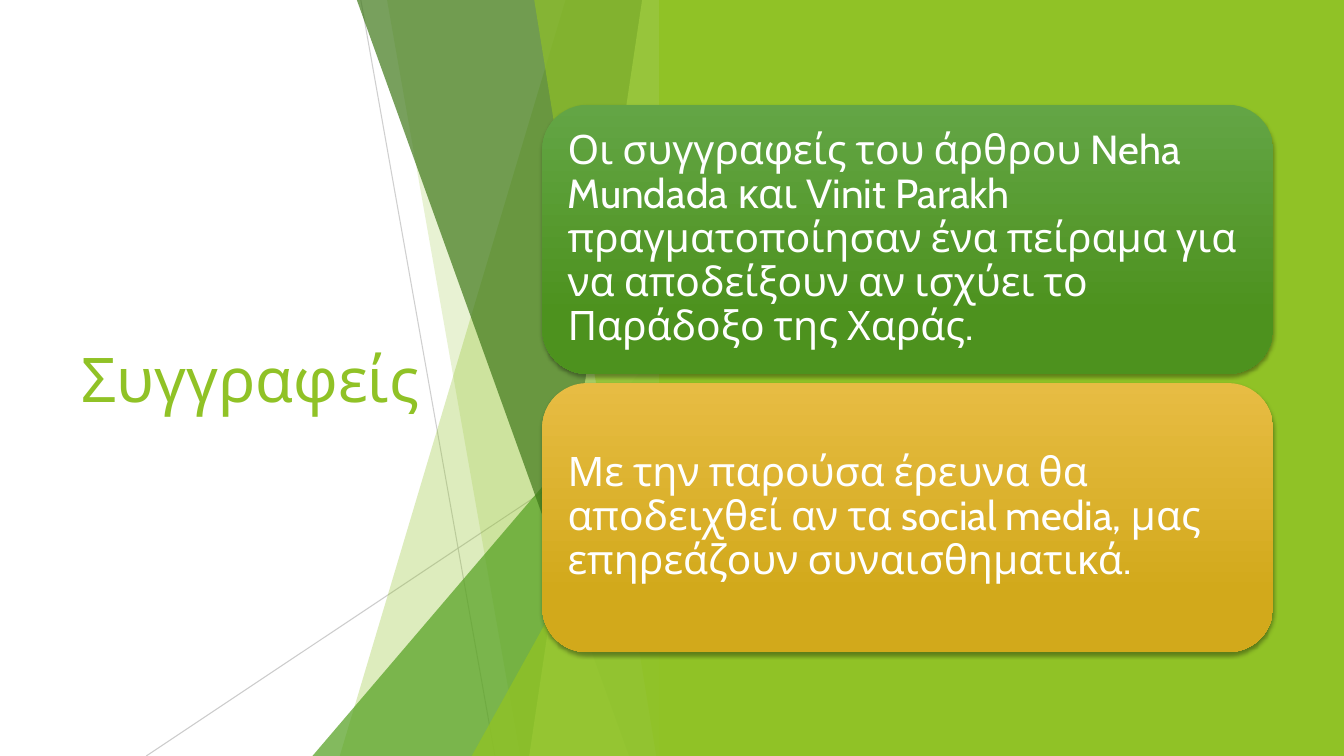
import pptx
import pptx.util
import pptx.dml.color
import pptx.enum.shapes
import pptx.enum.text
import pptx.oxml
import pptx.oxml.ns

MSO = pptx.enum.shapes.MSO_SHAPE
GREEN = "90C226"
WHITE = "FFFFFF"
FOLD = 49.95
SHADOW = (
    '<a:outerShdw xmlns:a="http://schemas.openxmlformats.org/drawingml/2006/main" '
    'blurRad="38100" dist="25400" dir="5400000" rotWithShape="0">'
    '<a:srgbClr val="000000"><a:alpha val="35000"/></a:srgbClr></a:outerShdw>'
)


def rgb(value):
    return pptx.dml.color.RGBColor.from_string(value)


class Deck:
    font = "Cabin"

    def __init__(self):
        self.prs = pptx.Presentation()
        self.prs.slide_width = pptx.util.Inches(13.333)
        self.prs.slide_height = pptx.util.Inches(7.5)
        self.s = self.prs.slides.add_slide(self.prs.slide_layouts[6])
        self.s.background.fill.solid()
        self.s.background.fill.fore_color.rgb = rgb(WHITE)

    def x(self, percent):
        return round(self.prs.slide_width * percent / 100)

    def y(self, percent):
        return round(self.prs.slide_height * percent / 100)

    def box(self, left, top, width, height):
        return self.x(left), self.y(top), self.x(width), self.y(height)

    def fade(self, sp, opacity):
        for color in sp._element.spPr.iter(pptx.oxml.ns.qn("a:srgbClr")):
            alpha = color.makeelement(pptx.oxml.ns.qn("a:alpha"), {"val": str(opacity * 1000)})
            color.append(alpha)

    def paint(self, sp, color, opacity=100):
        sp.shadow.inherit = False
        sp.line.fill.background()
        sp.fill.solid()
        sp.fill.fore_color.rgb = rgb(color)
        if opacity < 100:
            self.fade(sp, opacity)

    def line(self, start, end, opacity):
        sp = self.s.shapes.add_connector(
            pptx.enum.shapes.MSO_CONNECTOR.STRAIGHT,
            self.x(start[0]), self.y(start[1]), self.x(end[0]), self.y(end[1]))
        sp.line.color.rgb = rgb("BFBFBF")
        sp.line.width = pptx.util.Pt(0.75)
        self.fade(sp, opacity)
        spPr = sp._element.spPr
        spPr.append(spPr.makeelement(pptx.oxml.ns.qn("a:effectLst"), {}))

    def facet(self, top_x, bottom_x, color, opacity):
        points = [(FOLD, 0), (FOLD, 100), (bottom_x, 100)]
        builder = self.s.shapes.build_freeform(self.x(top_x), 0)
        builder.add_line_segments([(self.x(x), self.y(y)) for x, y in points], close=True)
        self.paint(builder.convert_to_shape(), color, opacity)

    def triangle(self, left, top, color, opacity):
        sp = self.s.shapes.add_shape(
            MSO.ISOSCELES_TRIANGLE, *self.box(left, top, FOLD - left, 100 - top))
        sp.adjustments[0] = 1
        self.paint(sp, color, opacity)

    def panel(self, left):
        sp = self.s.shapes.add_shape(MSO.RECTANGLE, *self.box(left, 0, 100 - left, 100))
        self.paint(sp, GREEN)

    def label(self, sp, text, size, color, inset=0.1, spacing=1.0):
        tf = sp.text_frame
        tf.text = text
        tf.word_wrap = True
        tf.vertical_anchor = pptx.enum.text.MSO_ANCHOR.MIDDLE
        tf.margin_left = tf.margin_right = pptx.util.Inches(inset)
        tf.margin_top = tf.margin_bottom = pptx.util.Inches(inset)
        p = tf.paragraphs[0]
        p.alignment = pptx.enum.text.PP_ALIGN.LEFT
        p.line_spacing = spacing
        r = p.runs[0]
        r.font.name = self.font
        r.font.size = pptx.util.Pt(size)
        r.font.color.rgb = rgb(color)

    def title(self, text):
        sp = self.s.shapes.add_textbox(*self.box(5.33, 20.13, 29.1, 59.73))
        self.label(sp, text, 44, GREEN)

    def card(self, top, text, light, dark):
        sp = self.s.shapes.add_shape(MSO.ROUNDED_RECTANGLE, *self.box(40.35, top, 54.38, 35.6))
        sp.line.fill.background()
        sp.fill.gradient()
        sp.fill.gradient_angle = 270
        for stop, position, color in zip(sp.fill.gradient_stops, (0, 0.78), (light, dark)):
            stop.position = position
            stop.color.rgb = rgb(color)
        sp.shadow.inherit = False
        effects = sp._element.spPr.find(pptx.oxml.ns.qn("a:effectLst"))
        effects.append(pptx.oxml.parse_xml(SHADOW))
        self.label(sp, text, 29, WHITE, inset=0.12, spacing=0.9)


def main():
    deck = Deck()
    deck.title("Συγγραφείς")

    deck.line((26.85, 0), (36.83, 100), 75)
    deck.line((FOLD, 53.73), (10.88, 100), 80)
    deck.facet(42.08, 25.28, GREEN, 30)
    deck.facet(28.8, 38.7, GREEN, 20)
    deck.triangle(23.25, 44.4, "54A021", 72)
    deck.facet(26.55, 46.8, "3F7819", 70)
    deck.facet(47.78, 39.38, "C0E474", 70)
    deck.facet(39.75, 48.83, GREEN, 65)
    deck.triangle(35.1, 52.4, GREEN, 80)
    deck.panel(49.05)

    cards = [
        ("Οι συγγραφείς του άρθρου Neha Mundada και Vinit Parakh πραγματοποίησαν "
         "ένα πείραμα για να αποδείξουν αν ισχύει το Παράδοξο της Χαράς.",
         "63A545", "4D921E"),
        ("Με την παρούσα έρευνα θα αποδειχθεί αν τα social media, μας επηρεάζουν "
         "συναισθηματικά.",
         "E7BC43", "D2A91B"),
    ]
    for i, (text, light, dark) in enumerate(cards):
        deck.card(13.87 + 36.8 * i, text, light, dark)

    deck.prs.save("out.pptx")


if __name__ == "__main__":
    main()
